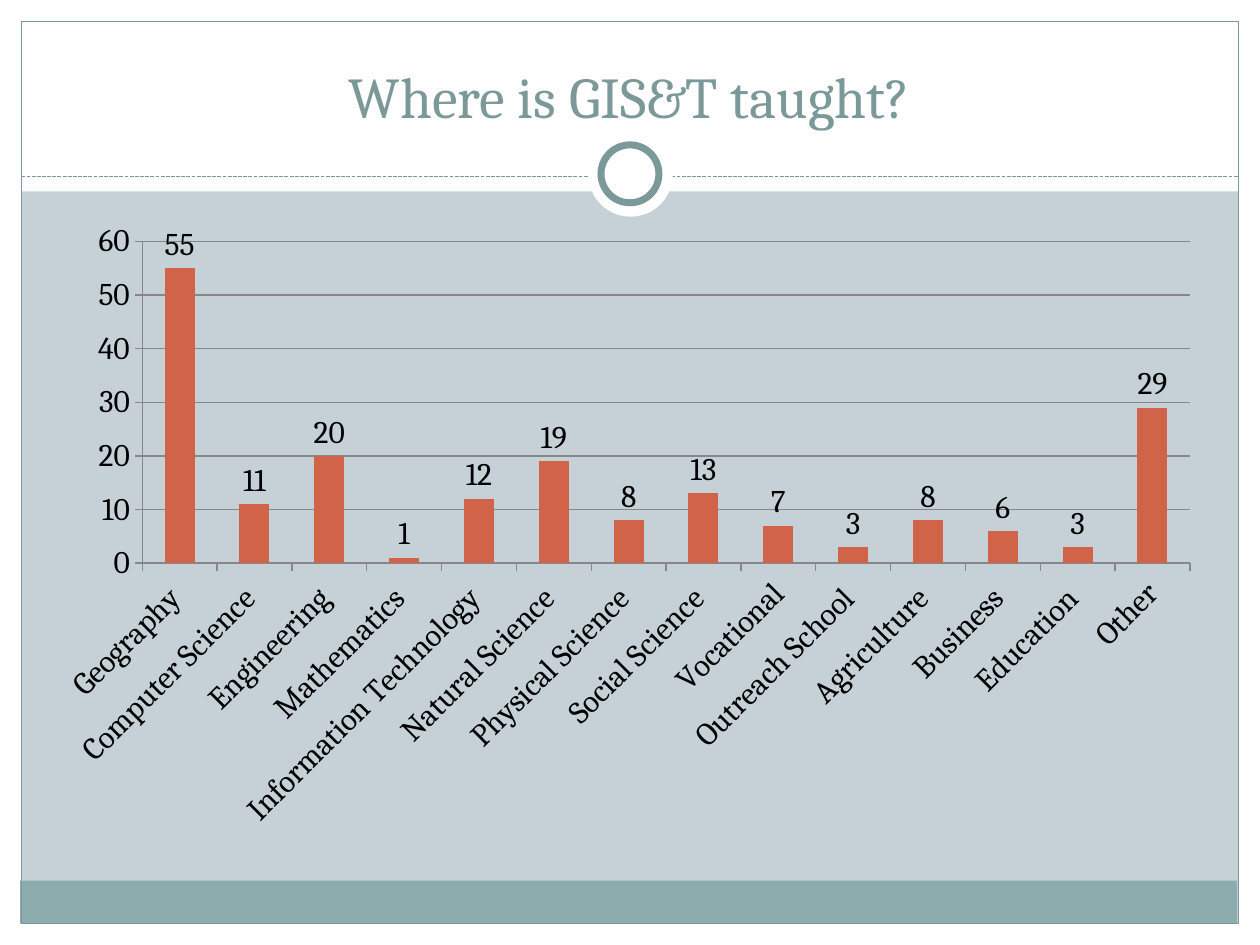
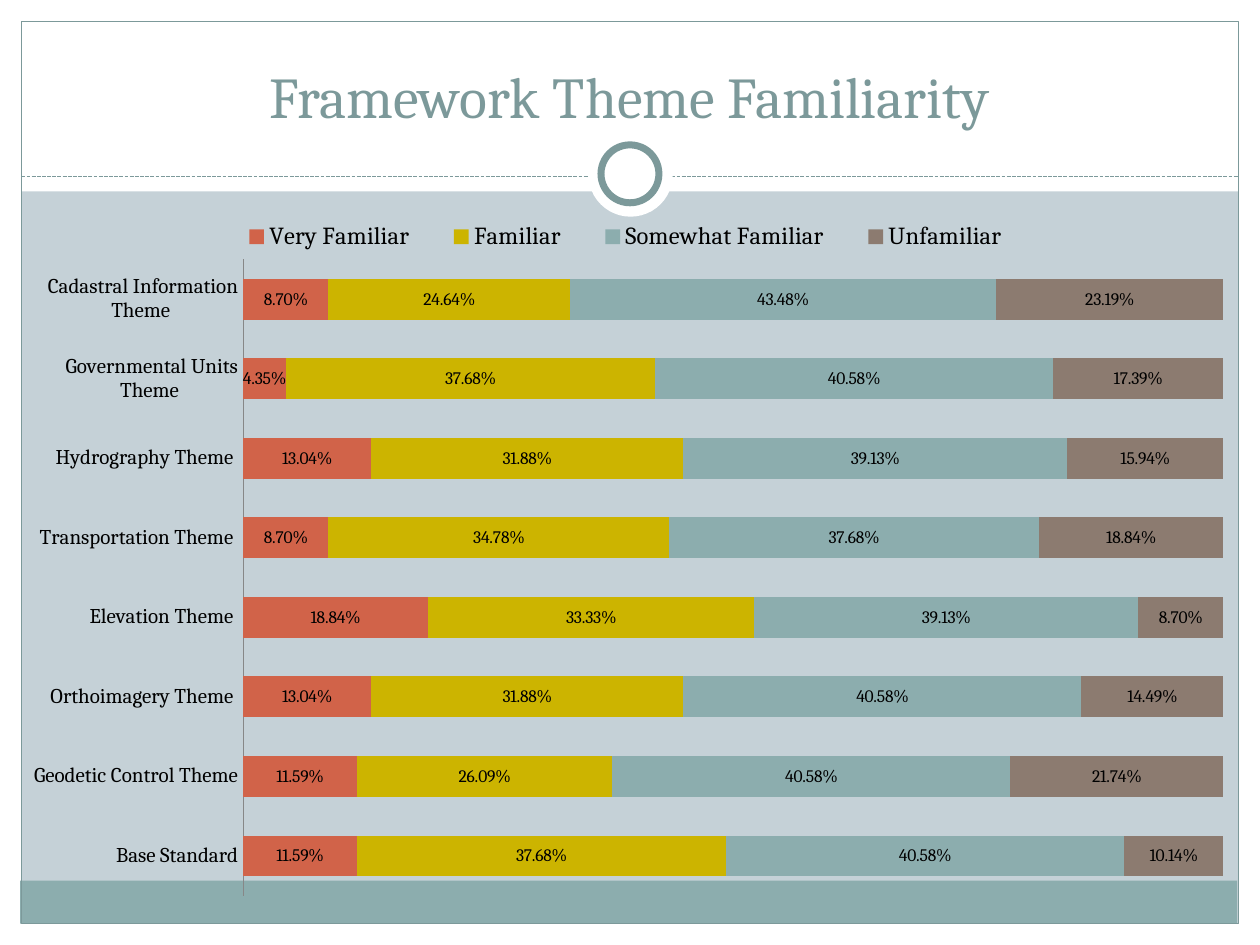
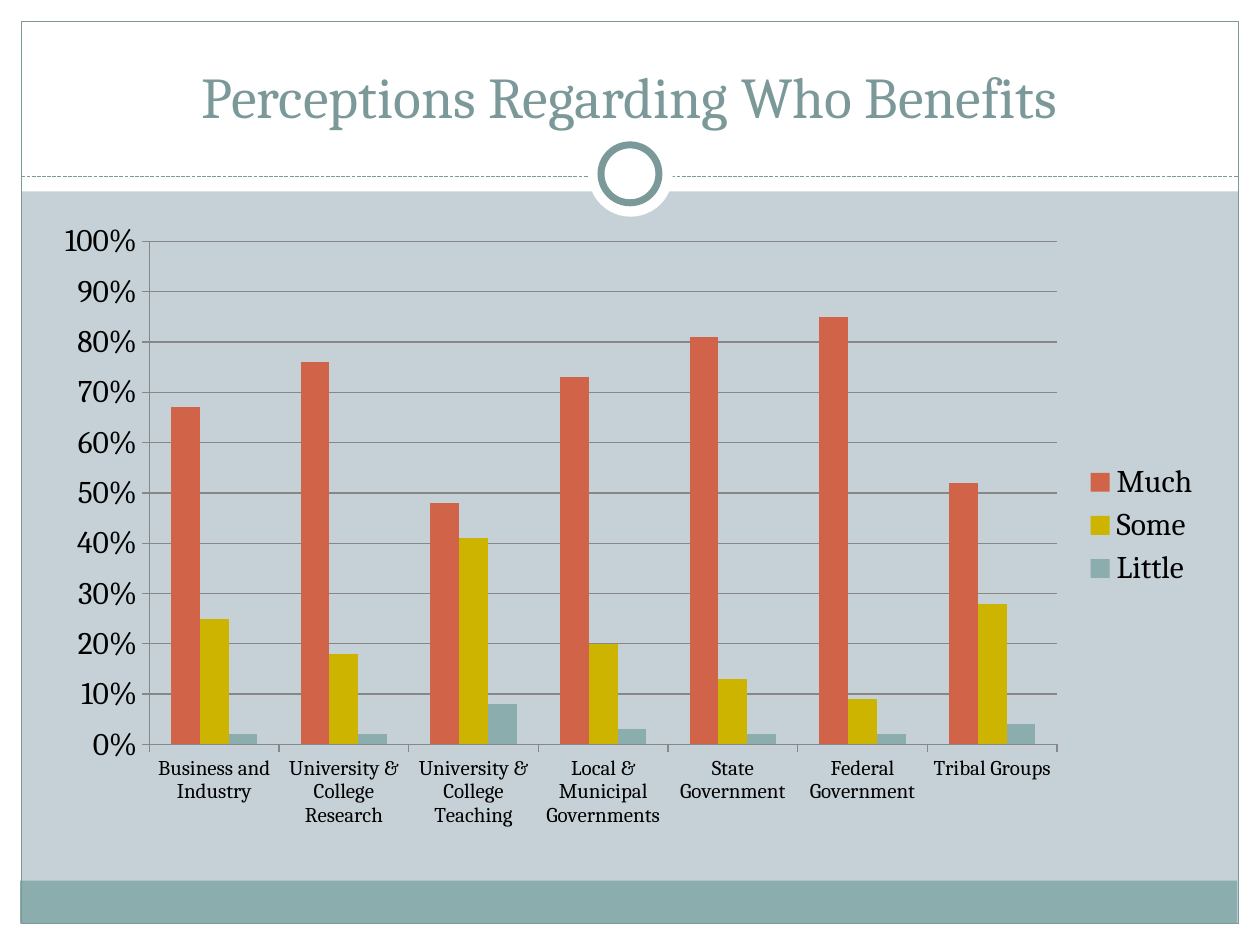
from lxml.etree import SubElement
from pptx import Presentation
from pptx.chart.data import CategoryChartData
from pptx.dml.color import RGBColor
from pptx.enum.chart import XL_CHART_TYPE, XL_LABEL_POSITION, XL_LEGEND_POSITION, XL_TICK_MARK
from pptx.enum.dml import MSO_LINE
from pptx.enum.shapes import MSO_CONNECTOR, MSO_SHAPE
from pptx.enum.text import MSO_ANCHOR, PP_ALIGN
from pptx.oxml.ns import qn
from pptx.util import Inches, Pt

COLORS = {
    "background": "C5D1D7",
    "white": "FFFFFF",
    "black": "000000",
    "accent": "7C999A",
    "footer": "8CADAE",
    "axis": "878787",
}
SERIES_COLORS = ["D16349", "CCB400", "8CADAE", "8C7B70"]
FONT = "Cambria"
STANDARD_CHART_AREA = (0.33, 1.67, 9.3, 5)
FAMILIARITY_AREA = (0.08, 1.57, 9.83, 5.66)

MARGIN_BANDS = [
    (0, 7.33, 10, 0.17),
    (0, 0, 10, 1.52),
    (0, 0, 0.17, 7.5),
    (9.83, 0, 0.17, 7.5),
]

TAUGHT_IN = {
    "Geography ": 55, "Computer Science ": 11, "Engineering ": 20, "Mathematics ": 1,
    "Information Technology ": 12, "Natural Science ": 19, "Physical Science ": 8,
    "Social Science ": 13, "Vocational": 7, "Outreach School ": 3, "Agriculture ": 8,
    "Business ": 6, "Education ": 3, "Other": 29,
}

FAMILIARITY_LEVELS = ["Very Familiar", "Familiar", "Somewhat Familiar", "Unfamiliar"]
THEME_FAMILIARITY = {
    "Base Standard": (0.1159, 0.3768, 0.4058, 0.1014),
    "Geodetic Control Theme": (0.1159, 0.2609, 0.4058, 0.2174),
    "Orthoimagery Theme ": (0.1304, 0.3188, 0.4058, 0.1449),
    "Elevation Theme ": (0.1884, 0.3333, 0.3913, 0.087),
    "Transportation Theme ": (0.087, 0.3478, 0.3768, 0.1884),
    "Hydrography Theme ": (0.1304, 0.3188, 0.3913, 0.1594),
    "Governmental Units Theme ": (0.0435, 0.3768, 0.4058, 0.1739),
    "Cadastral Information Theme ": (0.087, 0.2464, 0.4348, 0.2319),
}

BENEFIT_LEVELS = ["Much", "Some", "Little"]
BENEFITS = {
    "Business and Industry": (0.67, 0.25, 0.02),
    "University & College Research": (0.76, 0.18, 0.02),
    "University & College Teaching": (0.48, 0.41, 0.08),
    "Local & Municipal Governments": (0.73, 0.2, 0.03),
    "State Government": (0.81, 0.13, 0.02),
    "Federal Government": (0.85, 0.09, 0.02),
    "Tribal Groups": (0.52, 0.28, 0.04),
}


def rgb(name):
    return RGBColor.from_string(COLORS[name])


def set_all(target, values):
    for attribute, value in values.items():
        setattr(target, attribute, value)


def style_font(font, size, color="black"):
    set_all(font, {"name": FONT, "size": Pt(size), "bold": False})
    font.color.rgb = rgb(color)


def add_figure(slide, preset, area, fill=None, line=None, width=0.75):
    figure = slide.shapes.add_shape(preset, *map(Inches, area))
    figure.shadow.inherit = False
    if fill:
        figure.fill.solid()
        figure.fill.fore_color.rgb = rgb(fill)
    else:
        figure.fill.background()
    if line:
        figure.line.color.rgb = rgb(line)
        figure.line.width = Pt(width)
    else:
        figure.line.fill.background()


def add_divider(slide, y):
    divider = slide.shapes.add_connector(
        MSO_CONNECTOR.STRAIGHT, Inches(0.17), Inches(y), Inches(9.83), Inches(y))
    divider.line.color.rgb = rgb("accent")
    set_all(divider.line, {"width": Pt(0.75), "dash_style": MSO_LINE.SQUARE_DOT})
    SubElement(divider._element.spPr, qn("a:effectLst"))


def add_title(slide, wording):
    title = slide.shapes.add_textbox(*map(Inches, (0.33, 0.25, 9.33, 0.83))).text_frame
    set_all(title, {"word_wrap": True, "vertical_anchor": MSO_ANCHOR.BOTTOM})
    heading = title.paragraphs[0]
    set_all(heading, {"text": wording, "alignment": PP_ALIGN.CENTER})
    style_font(heading.font, 33, "accent")


def add_framed_slide(deck, wording):
    """Add a slide with the shared frame, ring, footer band and title."""
    slide = deck.slides.add_slide(deck.slide_layouts[6])
    slide.background.fill.solid()
    slide.background.fill.fore_color.rgb = rgb("background")
    for band in MARGIN_BANDS:
        add_figure(slide, MSO_SHAPE.RECTANGLE, band, fill="white")
    add_figure(slide, MSO_SHAPE.RECTANGLE, (0.16, 6.99, 9.66, 0.34), fill="footer")
    add_figure(slide, MSO_SHAPE.RECTANGLE, (0.17, 0.17, 9.66, 7.16), line="accent")
    add_divider(slide, 1.4)
    add_figure(slide, MSO_SHAPE.OVAL, (4.67, 1.05, 0.67, 0.67), fill="white")
    add_figure(slide, MSO_SHAPE.OVAL, (4.77, 1.15, 0.46, 0.46), "white", "accent", 4)
    add_title(slide, wording)
    return slide


def add_bars(slide, kind, area, levels, rows, number_format="General", gap=150, overlap=0):
    """Add a bar chart from rows of {category: one value per level}."""
    figures = CategoryChartData(number_format=number_format)
    figures.categories = list(rows)
    for level, values in zip(levels, zip(*rows.values())):
        figures.add_series(level, values)
    chart = slide.shapes.add_chart(kind, *map(Inches, area), figures).chart
    set_all(chart, {"has_title": False, "has_legend": False})
    style_font(chart.font, 18)
    plot = chart.plots[0]
    set_all(plot, {"gap_width": gap, "overlap": overlap, "vary_by_categories": False})
    for series, color in zip(plot.series, SERIES_COLORS):
        series.invert_if_negative = False
        series.format.fill.solid()
        series.format.fill.fore_color.rgb = RGBColor.from_string(color)
    return chart


def style_axis(axis, size, tick=XL_TICK_MARK.OUTSIDE, grid=False):
    set_all(axis, {"major_tick_mark": tick, "minor_tick_mark": XL_TICK_MARK.NONE,
                   "has_major_gridlines": grid})
    style_font(axis.tick_labels.font, size)
    lines = [axis.format.line]
    if grid:
        lines.append(axis.major_gridlines.format.line)
    for line in lines:
        line.color.rgb = rgb("axis")
        line.width = Pt(0.75)


def format_numbers(labels, number_format):
    set_all(labels, {"number_format": number_format, "number_format_is_linked": False})


def add_value_labels(chart, size, number_format, position):
    for series in chart.plots[0].series:
        labels = series.data_labels
        set_all(labels, {"show_value": True, "position": position})
        format_numbers(labels, number_format)
        style_font(labels.font, size)


def add_legend(chart, position, size):
    chart.has_legend = True
    set_all(chart.legend, {"position": position, "include_in_layout": False})
    style_font(chart.legend.font, size)


def place_in_chart(part, index, chart_area, area, inner=False):
    """Fix a chart part at an area in inches, measured from the chart's corner."""
    for automatic in part.findall(qn("c:layout")):
        part.remove(automatic)
    layout = SubElement(part, qn("c:layout"))
    part.insert(index, layout)
    manual = SubElement(layout, qn("c:manualLayout"))
    settings = {"layoutTarget": "inner"} if inner else {}
    settings.update(xMode="edge", yMode="edge")
    for side, length, whole in zip("xywh", area, chart_area[2:] * 2):
        settings[side] = str(length / whole)
    for tag, value in settings.items():
        SubElement(manual, qn(f"c:{tag}")).set("val", value)


def build_taught_slide(deck):
    slide = add_framed_slide(deck, "Where is GIS&T taught?")
    rows = {field: (count,) for field, count in TAUGHT_IN.items()}
    chart = add_bars(slide, XL_CHART_TYPE.COLUMN_CLUSTERED, STANDARD_CHART_AREA,
                     ["Series 1"], rows)
    style_axis(chart.category_axis, 18)
    chart.category_axis._element.find(qn("c:txPr")).find(qn("a:bodyPr")).set("rot", "-2700000")
    style_axis(chart.value_axis, 18, grid=True)
    add_value_labels(chart, 18, "General", XL_LABEL_POSITION.OUTSIDE_END)


def build_familiarity_slide(deck):
    slide = add_framed_slide(deck, "Framework Theme Familiarity")
    chart = add_bars(slide, XL_CHART_TYPE.BAR_STACKED_100, FAMILIARITY_AREA,
                     FAMILIARITY_LEVELS, THEME_FAMILIARITY, "0.00%", gap=95, overlap=100)
    style_axis(chart.category_axis, 12, XL_TICK_MARK.NONE)
    set_all(chart.value_axis, {"visible": False, "has_major_gridlines": False})
    format_numbers(chart.value_axis.tick_labels, "0.00%")
    add_value_labels(chart, 10, "0.00%", XL_LABEL_POSITION.CENTER)
    add_legend(chart, XL_LEGEND_POSITION.TOP, 14)
    place_in_chart(chart.legend._element, 1, FAMILIARITY_AREA, (1.61, 0.11, 6.55, 0.4))
    plot_area = chart._chartSpace.chart.plotArea
    place_in_chart(plot_area, 0, FAMILIARITY_AREA, (1.85, 0.49, 7.78, 5.05), inner=True)


def build_benefits_slide(deck):
    slide = add_framed_slide(deck, "Perceptions Regarding Who Benefits")
    chart = add_bars(slide, XL_CHART_TYPE.COLUMN_CLUSTERED, STANDARD_CHART_AREA,
                     BENEFIT_LEVELS, BENEFITS, "0%")
    style_axis(chart.category_axis, 12)
    style_axis(chart.value_axis, 18, grid=True)
    chart.value_axis.maximum_scale = 1
    format_numbers(chart.value_axis.tick_labels, "0%")
    add_legend(chart, XL_LEGEND_POSITION.RIGHT, 18)


def main():
    deck = Presentation()
    set_all(deck, {"slide_width": Inches(10), "slide_height": Inches(7.5)})
    build_taught_slide(deck)
    build_familiarity_slide(deck)
    build_benefits_slide(deck)
    deck.save("out.pptx")


if __name__ == "__main__":
    main()
